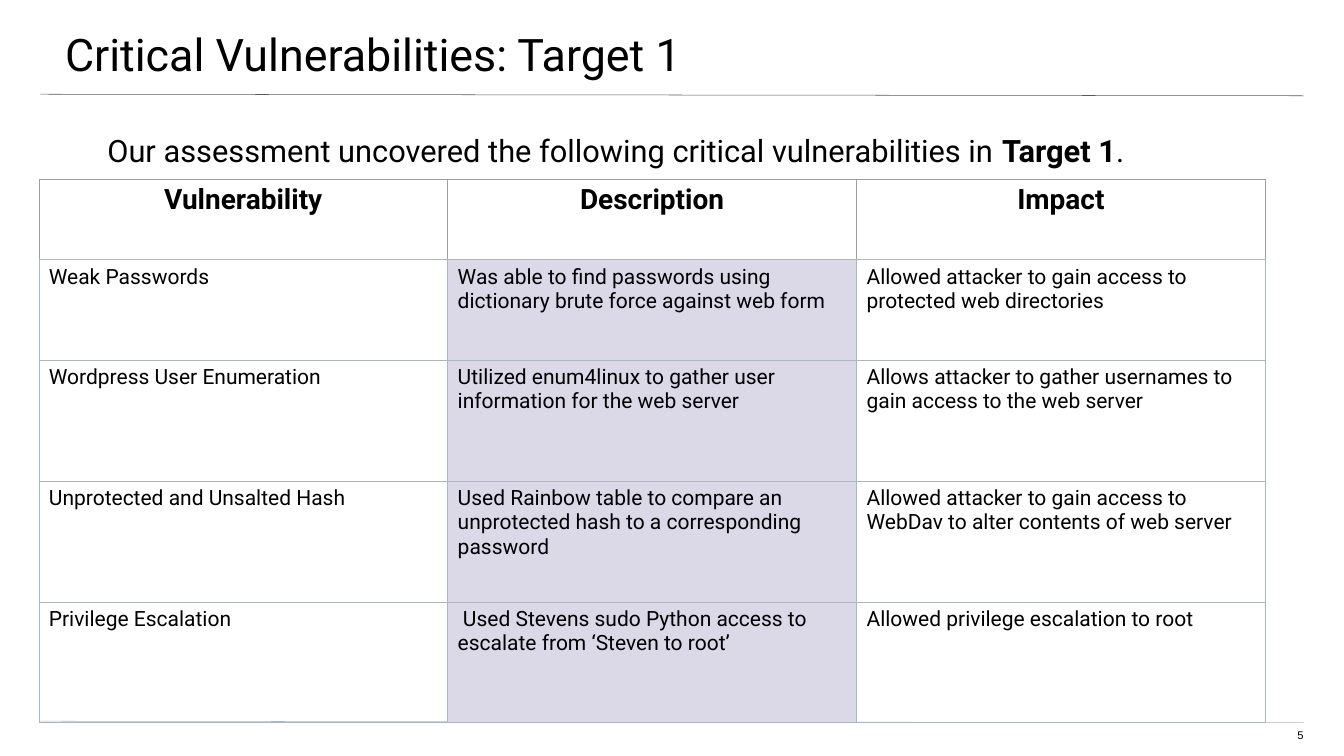
from lxml import etree
from pptx import Presentation
from pptx.dml.color import RGBColor as RGB
from pptx.enum.shapes import MSO_CONNECTOR as CONN
from pptx.enum.text import MSO_ANCHOR as ANCHOR, PP_ALIGN as ALIGN
from pptx.oxml import parse_xml
from pptx.oxml.ns import nsdecls, qn
from pptx.util import Inches as In, Pt

COLORS = {"text": "000000", "rule": "595959", "grid": "A9B7C0",
          "header": "9E9E9E", "shade": "DBD9E8"}
W, H = 26.66, 15
LEFT, RIGHT = 0.03 * W, 0.97 * W
COL_W = 8.11
ROW_H = [1.6, 1.99, 2.4, 2.4, 2.4]
TABLE_TOP = 3.55


def add_run(p, text, size, font="Roboto", bold=False):
    r = p.add_run()
    r.text = text
    r.font.size, r.font.name, r.font.bold = Pt(size), font, bold
    r.font.color.rgb = RGB.from_string(COLORS["text"])


def add_box(s, x, y, w, h, insets):
    tf = s.shapes.add_textbox(In(x), In(y), In(w), In(h)).text_frame
    tf.word_wrap = True
    tf.vertical_anchor = ANCHOR.TOP
    tf.margin_left, tf.margin_top, tf.margin_right, tf.margin_bottom = map(In, insets)
    return tf.paragraphs[0]


prs = Presentation()
prs.slide_width, prs.slide_height = In(W), In(H)
s = prs.slides.add_slide(prs.slide_layouts[6])

# Rules under the title and above the footer
for y, color in [(1.87, "rule"), (14.31, "grid")]:
    line = s.shapes.add_connector(CONN.STRAIGHT, In(LEFT), In(y), In(RIGHT), In(y + 0.03))
    line.line.color.rgb = RGB.from_string(COLORS[color])
    line.line.width = Pt(0.75)
    etree.SubElement(line._element.spPr, qn("a:effectLst"))

# Title
p = add_box(s, 0, 0, W, 1.56, (1.29, 0.53, 0.8, 0.27))
add_run(p, "Critical Vulnerabilities: Target 1", 64)

# Slide number
p = add_box(s, RIGHT - 0.76, 14.46, 0.76, 0.31, (0, 0, 0, 0))
p.alignment = ALIGN.RIGHT
add_run(p, "5", 16, "Arial")

# Introduction
p = add_box(s, LEFT, 2.61, RIGHT - LEFT, 0.9, (1.33, 0, 1.33, 0))
add_run(p, "Our assessment uncovered the following critical vulnerabilities in ", 44)
add_run(p, "Target 1", 44, bold=True)
add_run(p, ".", 44)

# Vulnerability table
rows = [
    ("Vulnerability", "Description", "Impact"),
    ("Weak Passwords",
     "Was able to find passwords using dictionary brute force against web form",
     "Allowed attacker to gain access to protected web directories"),
    ("Wordpress User Enumeration",
     "Utilized enum4linux to gather user information for the web server",
     "Allows attacker to gather usernames to gain access to the web server"),
    ("Unprotected and Unsalted Hash",
     "Used Rainbow table to compare an unprotected hash to a corresponding password",
     "Allowed attacker to gain access to WebDav to alter contents of web server"),
    ("Privilege Escalation",
     " Used Stevens sudo Python access to escalate from ‘Steven to root’",
     "Allowed privilege escalation to root"),
]
table = s.shapes.add_table(len(rows), 3, In(0.77), In(TABLE_TOP),
                           In(3 * COL_W), In(sum(ROW_H))).table
table.horz_banding = False
for col in table.columns:
    col.width = In(COL_W)

for i, texts in enumerate(rows):
    table.rows[i].height = In(ROW_H[i])
    header = i == 0
    for j, text in enumerate(texts):
        cell = table.cell(i, j)
        cell.margin_left = cell.margin_right = In(0.1 if header else 0.2)
        cell.margin_top = cell.margin_bottom = In(0.1)
        p = cell.text_frame.paragraphs[0]
        p.alignment = ALIGN.CENTER if header else ALIGN.LEFT
        add_run(p, text, 40 if header else 30, bold=header)

        # Shade the description column below its heading
        if j == 1 and not header:
            cell.fill.solid()
            cell.fill.fore_color.rgb = RGB.from_string(COLORS["shade"])
        else:
            cell.fill.background()

        # Borders go ahead of the fill
        tcPr = cell._tc.get_or_add_tcPr()
        for k, side in enumerate("LRTB"):
            color = COLORS["header" if header and side != "B" else "grid"]
            tcPr.insert(k, parse_xml(
                f'<a:ln{side} {nsdecls("a")} w="{Pt(0.75)}"><a:solidFill>'
                f'<a:srgbClr val="{color}"/></a:solidFill></a:ln{side}>'))

prs.save("out.pptx")
